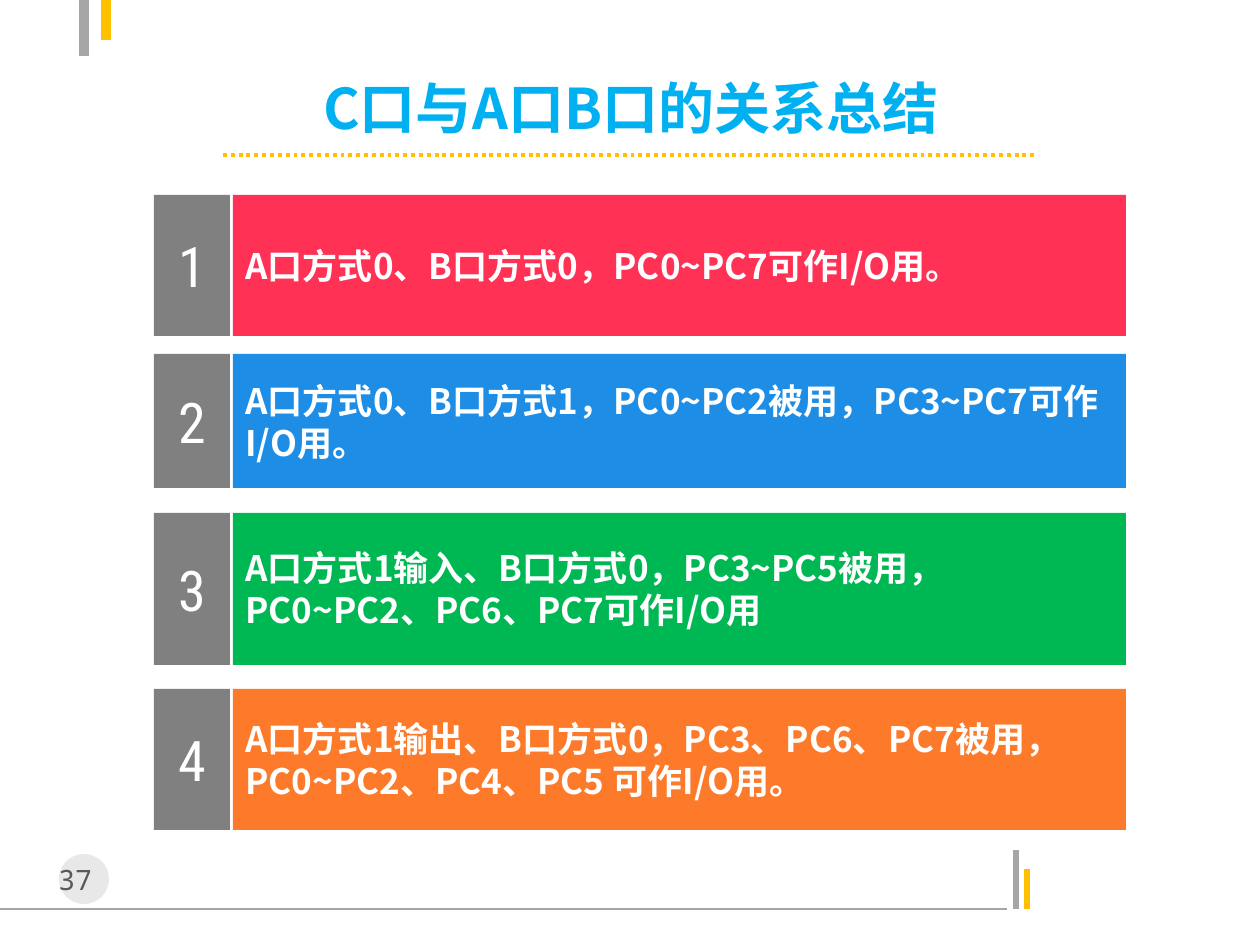
"""Builds the slide on how port C relates to ports A and B."""
from lxml import etree
from pptx import Presentation
from pptx import util as u
from pptx.dml.color import RGBColor
from pptx.enum import dml, shapes, text
from pptx.oxml.ns import qn

SCALE = 914400 / 126
WHITE = RGBColor(0xFF, 0xFF, 0xFF)
GREY = RGBColor(0xA6, 0xA6, 0xA6)
PALE = RGBColor(0xBF, 0xBF, 0xBF)
SLATE = RGBColor(0x80, 0x80, 0x80)
DARK = RGBColor(0x59, 0x59, 0x59)
GOLD = RGBColor(0xFF, 0xC0, 0x00)
SKY = RGBColor(0x00, 0xB0, 0xF0)
RED = RGBColor(0xFF, 0x32, 0x55)
BLUE = RGBColor(0x1D, 0x8D, 0xE5)
GREEN = RGBColor(0x00, 0xB8, 0x53)
ORANGE = RGBColor(0xFD, 0x7A, 0x2A)
HAN = "Noto Sans CJK SC"
MONO = "Noto Sans Mono"
SLIM = "Roboto Condensed"
LEFT = text.PP_ALIGN.LEFT
CENTER = text.PP_ALIGN.CENTER


def px(*vals):
    return [u.Emu(round(v * SCALE)) for v in vals]


class Deck:
    def __init__(self, wide, high):
        self.prs = Presentation()
        self.prs.slide_width, self.prs.slide_height = px(wide, high)
        self.slide = self.prs.slides.add_slide(self.prs.slide_layouts[5])
        self.items = self.slide.shapes

    def put(self, shape, words, font, size, color, bold=False, align=CENTER, wrap=True):
        frame = shape.text_frame
        frame.auto_size = text.MSO_AUTO_SIZE.NONE
        frame.word_wrap = wrap
        frame.vertical_anchor = text.MSO_ANCHOR.MIDDLE
        para = frame.paragraphs[0]
        para.alignment = align
        run = para.add_run()
        run.text = words
        run.font.name = font
        run.font.size = u.Pt(size)
        run.font.bold = bold
        run.font.color.rgb = color
        east = etree.SubElement(run.font._element, qn("a:ea"))
        east.set("typeface", font)

    def title(self, words, box):
        shape = self.items.title
        shape.left, shape.top, shape.width, shape.height = px(*box)
        self.put(shape, words, HAN, 32, SKY, bold=True, wrap=False)

    def line(self, ends, color, width, dash=None):
        line = self.items.add_connector(shapes.MSO_CONNECTOR.STRAIGHT, *px(*ends))
        line.line.color.rgb = color
        line.line.width = u.Pt(width)
        if dash:
            line.line.dash_style = dash
        etree.SubElement(line._element.spPr, qn("a:effectLst"))

    def shape(self, kind, box, color, alpha=None):
        shape = self.items.add_shape(kind, *px(*box))
        shape.shadow.inherit = False
        shape.fill.solid()
        shape.fill.fore_color.rgb = color
        shape.line.fill.background()
        if alpha:
            tint = shape._element.spPr.find(".//" + qn("a:srgbClr"))
            etree.SubElement(tint, qn("a:alpha")).set("val", str(alpha * 1000))
        return shape

    def label(self, words, box):
        self.put(self.items.add_textbox(*px(*box)), words, MONO, 16, DARK)

    def row(self, num, top, high, color, words):
        rect = shapes.MSO_SHAPE.RECTANGLE
        tab = self.shape(rect, (154, top, 76, high), SLATE)
        self.put(tab, str(num), SLIM, 32, WHITE)
        bar = self.shape(rect, (233, top, 893, high), color)
        self.put(bar, words, HAN, 20, WHITE, bold=True, align=LEFT)


def main():
    deck = Deck(1260, 945)
    for ends, color, width in (
        ((0, 909, 1007, 909), GREY, 0.75),
        ((1016, 909, 1016, 850), GREY, 3),
        ((1027, 909, 1027, 869), GOLD, 3),
        ((84, 56, 84, 0), GREY, 6),
        ((106, 0, 106, 40), GOLD, 6),
    ):
        deck.line(ends, color, width)
    deck.shape(shapes.MSO_SHAPE.OVAL, (59, 854, 50, 50), PALE, alpha=35)
    deck.label("37 ", (39, 856, 89, 47))
    deck.title("C口与A口B口的关系总结", (174, 76, 914, 63))
    deck.line((223, 155, 1037, 155), GOLD, 2.25, dml.MSO_LINE.ROUND_DOT)
    rows = (
        (195, 141, RED, "A口方式0、B口方式0，PC0~PC7可作I/O用。"),
        (354, 134, BLUE, "A口方式0、B口方式1，PC0~PC2被用，PC3~PC7可作I/O用。"),
        (513, 152, GREEN, "A口方式1输入、B口方式0，PC3~PC5被用，PC0~PC2、PC6、PC7可作I/O用"),
        (689, 141, ORANGE, "A口方式1输出、B口方式0，PC3、PC6、PC7被用，PC0~PC2、PC4、PC5 可作I/O用。"),
    )
    for num, row in enumerate(rows, 1):
        deck.row(num, *row)
    deck.prs.save("out.pptx")


if __name__ == "__main__":
    main()
